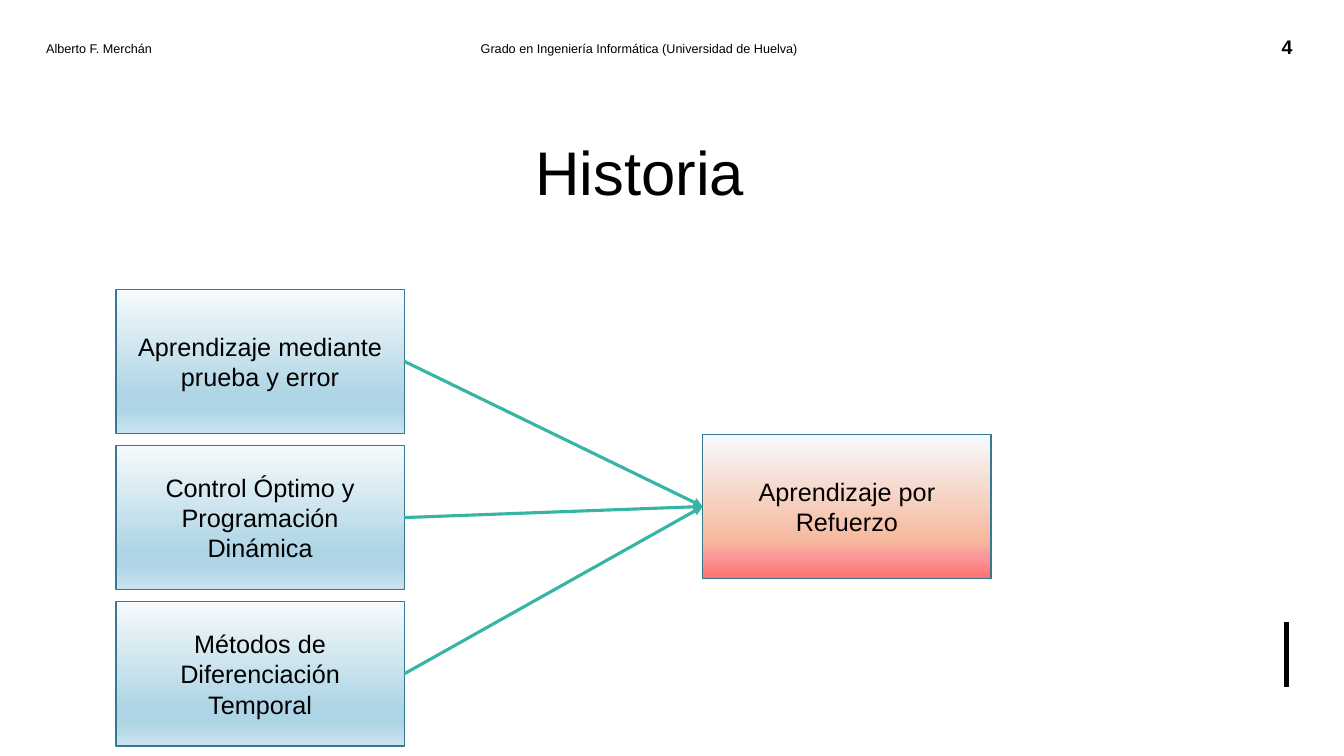
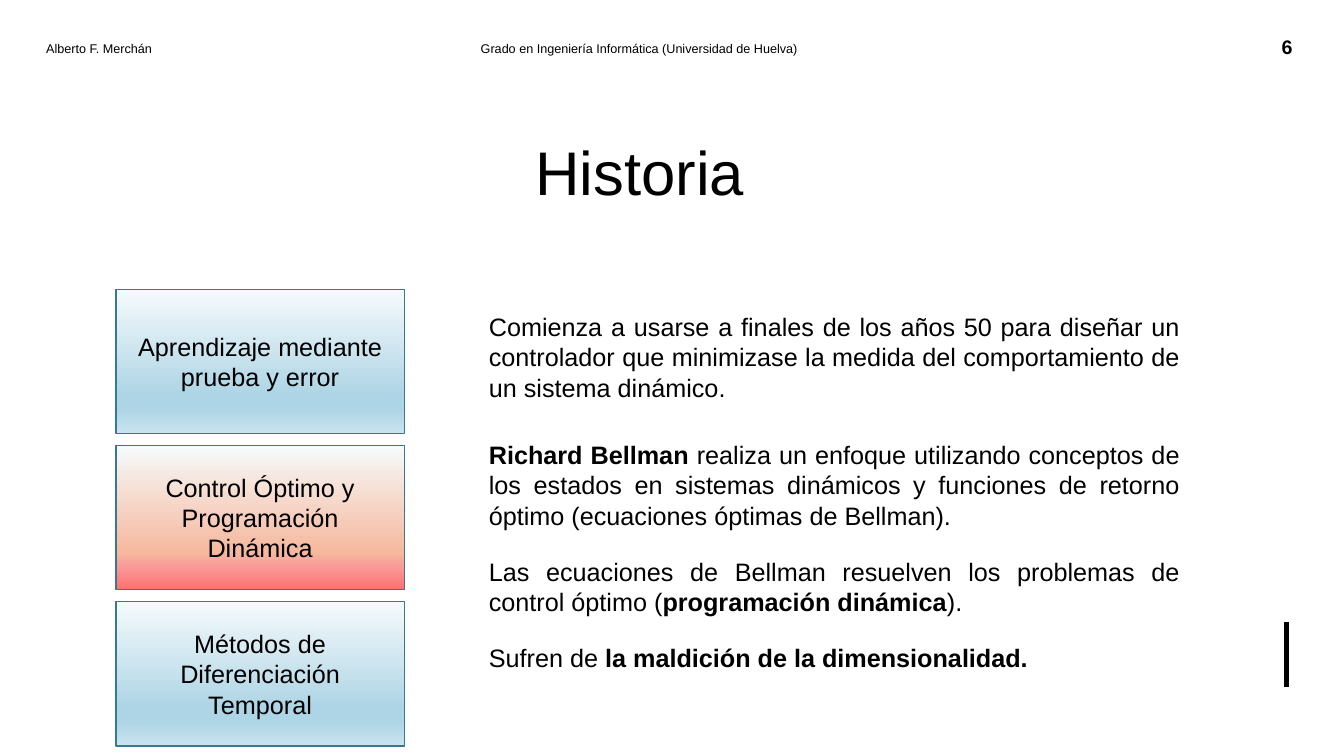
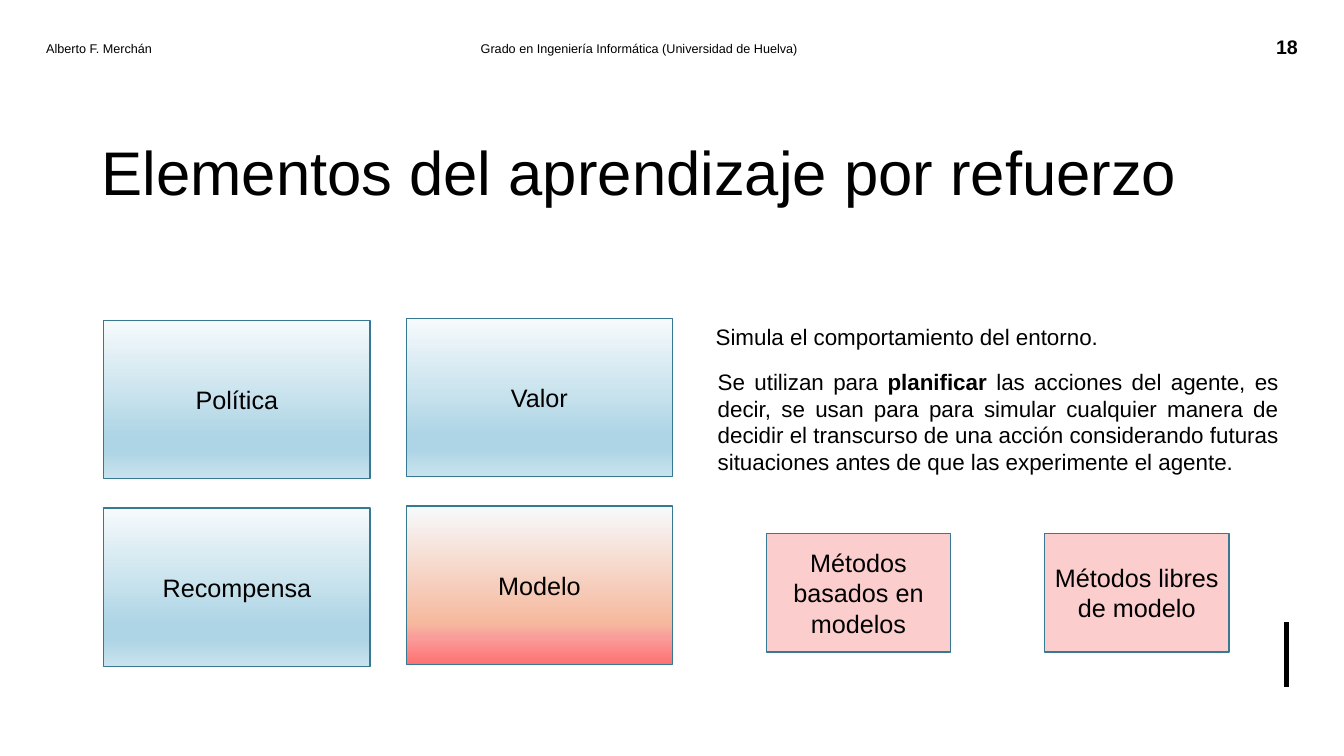
from dataclasses import dataclass
from lxml import etree
from pptx import Presentation
from pptx.dml.color import RGBColor
from pptx.enum import shapes, text
from pptx.oxml import ns
from pptx.util import Inches, Pt


@dataclass(frozen=True)
class Theme:
    font: str = "Arial"
    ink: str = "000000"
    edge: str = "377892"
    arrow: str = "38B4A4"
    pink: str = "F99D9B"
    blue: tuple = ((0, "F6FAFC"), (74, "AED5E5"), (83, "AED5E5"), (100, "C9E3EE"))
    red: tuple = ((0, "F6FAFC"), (74, "F6B99E"), (83, "F99D9B"), (100, "FF7171"))
    title: int = 44
    body: int = 18
    note: int = 16
    page: int = 14
    head: int = 9


T = Theme()
AUTHOR = "Alberto F. Merchán"
DEGREE = "Grado en Ingeniería Informática (Universidad de Huelva)"
ROOTS = [
    "Aprendizaje mediante prueba y error",
    "Control Óptimo y Programación Dinámica",
    "Métodos de Diferenciación Temporal",
]
GOAL = "Aprendizaje por Refuerzo"
BELLMAN = [
    (3.04, 1.01, "Comienza a usarse a finales de los años 50 para diseñar un controlador "
     "que minimizase la medida del comportamiento de un sistema dinámico."),
    (4.31, 1.01, "**Richard Bellman **realiza un enfoque utilizando conceptos de los estados "
     "en sistemas dinámicos y funciones de retorno óptimo (ecuaciones óptimas de Bellman)."),
    (5.47, 0.71, "Las ecuaciones de Bellman resuelven los problemas de control óptimo "
     "(**programación dinámica**)."),
    (6.32, 0.4, "Sufren de **la maldición de la dimensionalidad.**"),
]
PARTS = [
    (1.03, 3.18, ["Política", "Recompensa"]),
    (4.03, 3.16, ["Valor", "Modelo"]),
]
NOTES = [
    (7, 3.16, 0.37, "Simula el comportamiento del entorno."),
    (7.02, 3.6, 1.18, "Se utilizan para **planificar **las acciones del agente, es decir, "
     "se usan para para simular cualquier manera de decidir el transcurso de una acción "
     "considerando futuras situaciones antes de que las experimente el agente."),
]
KINDS = ["Métodos basados en modelos", "Métodos libres de modelo"]


def rgb(code):
    return RGBColor.from_string(code)


def write(shape, words, size=T.body, align="CENTER", anchor="MIDDLE", bold=False):
    frame = shape.text_frame
    frame.word_wrap = True
    frame.vertical_anchor = text.MSO_ANCHOR[anchor]
    para = frame.paragraphs[0]
    para.alignment = text.PP_ALIGN[align]
    for i, part in enumerate(words.split("**")):
        if part:
            run = para.add_run()
            run.text = part
            font = run.font
            font.name, font.size = T.font, Pt(size)
            font.bold = bold or i % 2 == 1
            font.color.rgb = rgb(T.ink)


def label(slide, at, words, **form):
    box = slide.shapes.add_textbox(*map(Inches, at))
    write(box, words, **form)
    return box


def prose(slide, at, words, size=T.body):
    box = label(slide, at, words, size=size, align="JUSTIFY", anchor="TOP")
    box.text_frame.auto_size = text.MSO_AUTO_SIZE.SHAPE_TO_FIT_TEXT


def shade(box, stops):
    box.fill.gradient()
    box.fill.gradient_angle = 270
    group = next(box._element.spPr.iter(ns.qn("a:gsLst")))
    for old in list(group):
        group.remove(old)
    for pos, code in stops:
        stop = etree.SubElement(group, ns.qn("a:gs"), pos=str(pos * 1000))
        etree.SubElement(stop, ns.qn("a:srgbClr"), val=code)


def card(slide, at, words, stops=None):
    box = slide.shapes.add_shape(shapes.MSO_SHAPE.RECTANGLE, *map(Inches, at))
    box.shadow.inherit = False
    if stops:
        shade(box, stops)
    else:
        box.fill.solid()
        box.fill.fore_color.rgb = rgb(T.pink)
        tint = next(box._element.spPr.iter(ns.qn("a:srgbClr")))
        etree.SubElement(tint, ns.qn("a:alpha"), val="50000")
    box.line.color.rgb = rgb(T.edge)
    box.line.width = Pt(1)
    write(box, words)
    return box


def rule(slide, ends, color, width):
    line = slide.shapes.add_connector(shapes.MSO_CONNECTOR.STRAIGHT, *map(Inches, ends))
    line.line.color.rgb = rgb(color)
    line.line.width = Pt(width)
    etree.SubElement(line._element.spPr, ns.qn("a:effectLst"))
    return line


def link(slide, start, end):
    line = rule(slide, (0, 0, 1, 1), T.arrow, 2.25)
    line.begin_connect(start, 3)
    line.end_connect(end, 1)
    etree.SubElement(line.line._get_or_add_ln(), ns.qn("a:tailEnd"), type="triangle")


def page(deck, number, name):
    slide = deck.slides.add_slide(deck.slide_layouts[5])
    title = slide.shapes.title
    title.left, title.top, title.width, title.height = map(Inches, (0.67, 0.91, 11.35, 1.57))
    write(title, name, size=T.title)
    rule(slide, (12.76, 6.17, 12.76, 6.82), T.ink, 3)
    label(slide, (12.35, 0.26, 0.83, 0.4), str(number), size=T.page, bold=True)
    for left, words in ((0.36, AUTHOR), (4.67, DEGREE)):
        label(slide, (left, 0.28, 4, 0.4), words, size=T.head, align="LEFT")
    return slide


def roots(slide, hot=None):
    return [
        card(slide, (1.15, 2.87 + 1.55 * i, 2.86, 1.43), words, T.red if i == hot else T.blue)
        for i, words in enumerate(ROOTS)
    ]


def main():
    deck = Presentation()
    deck.slide_width, deck.slide_height = Inches(13.33), Inches(7.5)

    slide = page(deck, 4, "Historia")
    cards = roots(slide)
    goal = card(slide, (6.97, 4.31, 2.86, 1.43), GOAL, T.red)
    for box in cards:
        link(slide, box, goal)

    slide = page(deck, 6, "Historia")
    roots(slide, hot=1)
    for top, high, words in BELLMAN:
        prose(slide, (4.75, top, 7.05, high), words)

    slide = page(deck, 18, "Elementos del aprendizaje por refuerzo")
    for left, top, names in PARTS:
        for i, name in enumerate(names):
            stops = T.red if name == "Modelo" else T.blue
            card(slide, (left, top + 1.86 * i, 2.64, 1.57), name, stops)
    for left, top, high, words in NOTES:
        prose(slide, (left, top, 5.76, high), words, size=T.note)
    for i, kind in enumerate(KINDS):
        card(slide, (7.6 + 2.76 * i, 5.29, 1.83, 1.18), kind)

    deck.save("out.pptx")


if __name__ == "__main__":
    main()
